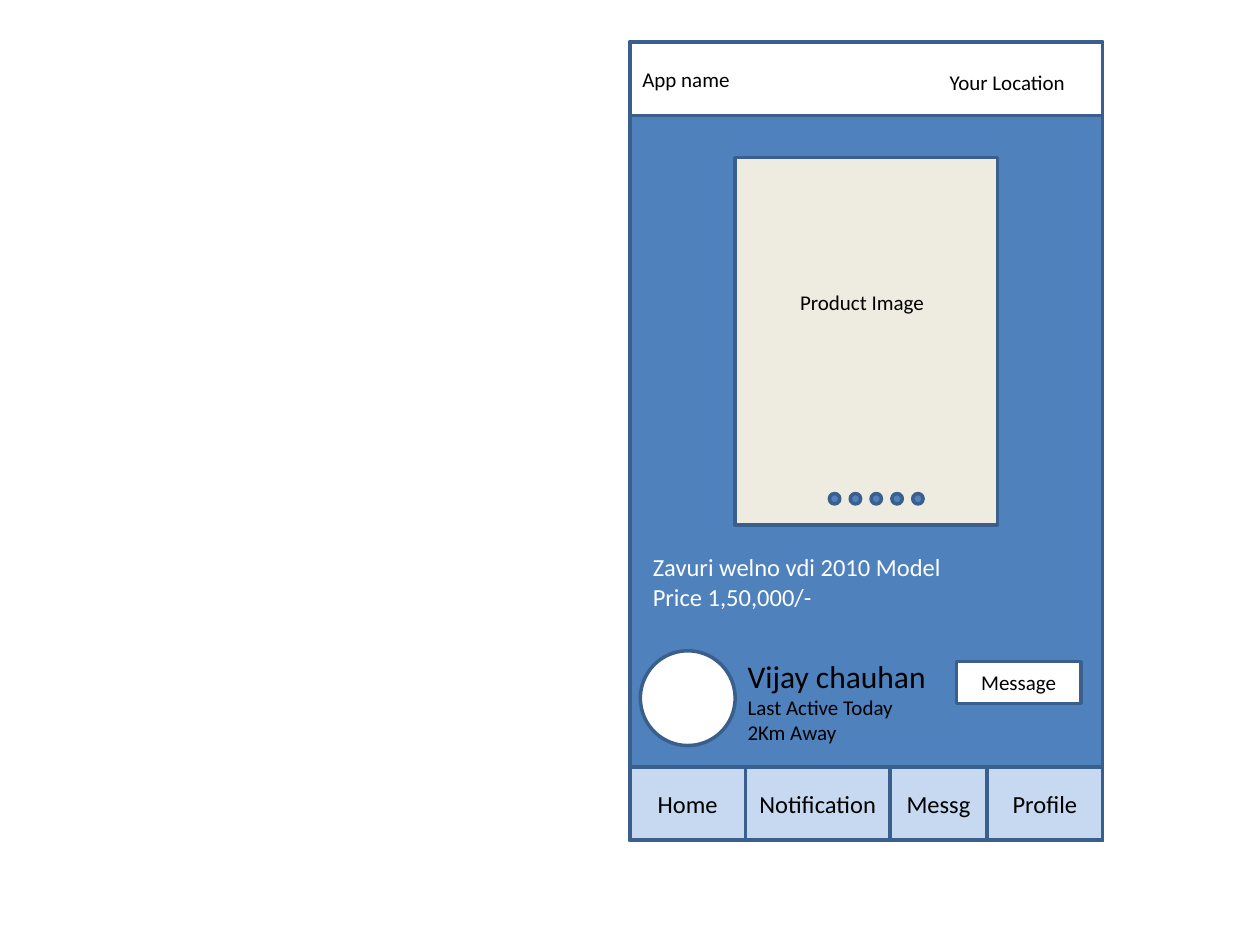
from pptx import Presentation
from pptx.dml.color import RGBColor
from pptx.enum import shapes, text
from pptx.util import Cm, Pt

COLORS = {
    "body": "4F81BD", "outline": "3A5F8C", "white": "FFFFFF",
    "tab": "C6D9F1", "image": "EEECE1", "black": "000000",
}
RECT = shapes.MSO_SHAPE.RECTANGLE
OVAL = shapes.MSO_SHAPE.OVAL
LEFT, CENTER, RIGHT = text.PP_ALIGN.LEFT, text.PP_ALIGN.CENTER, text.PP_ALIGN.RIGHT

prs = Presentation()
prs.slide_width, prs.slide_height = Cm(25.4), Cm(19.05)
s = prs.slides.add_slide(prs.slide_layouts[6])


def write(sp, lines, sizes, color="black", align=LEFT):
    """Fill a shape with one paragraph per line, each in its own size."""
    tf = sp.text_frame
    tf.word_wrap = True
    tf.text = "\n".join(lines)
    for p, size in zip(tf.paragraphs, sizes):
        p.alignment = align
        font = p.runs[0].font
        font.name, font.size = "Calibri", Pt(size)
        font.color.rgb = RGBColor.from_string(COLORS[color])


def add_box(kind, left, top, width, height, fill):
    """Add an outlined shape; lengths are in centimetres."""
    sp = s.shapes.add_shape(kind, Cm(left), Cm(top), Cm(width), Cm(height))
    sp.shadow.inherit = False
    sp.fill.solid()
    sp.fill.fore_color.rgb = RGBColor.from_string(COLORS[fill])
    sp.line.color.rgb = RGBColor.from_string(COLORS["outline"])
    sp.line.width = Pt(2)
    sp.text_frame.vertical_anchor = text.MSO_ANCHOR.MIDDLE
    return sp


# Phone frame with its top and bottom bars
x, y, w, h = 12.7, 0.85, 9.53, 16.09
bar_h = 1.48
tab_y = y + h - bar_h
add_box(RECT, x, y, w, h, "body")
add_box(RECT, x, tab_y, w, bar_h, "white")
header = add_box(RECT, x, y, w, bar_h, "white")
write(header, ["App name"], [12])

# Navigation tabs, side by side
tab_x = x
for label, tab_w in [("Home", 2.33), ("Notification", 2.91), ("Messg", 1.96), ("Profile", 2.33)]:
    tab = add_box(RECT, tab_x, tab_y, tab_w, bar_h, "tab")
    write(tab, [label], [14], align=CENTER)
    tab_x += tab_w

# Product image, seller's avatar and message button
add_box(RECT, 14.82, 3.18, 5.29, 7.41, "image")
button = add_box(RECT, 19.28, 13.34, 2.51, 0.84, "white")
write(button, ["Message"], [12], align=CENTER)
add_box(OVAL, 12.91, 13.12, 1.91, 1.91, "white")

# Free-standing labels
labels = [
    (18.42, 1.27, 3.39, 0.77, ["Your Location "], [12], "black", RIGHT),
    (15.88, 5.72, 3.5, 0.77, ["Product Image"], [12], "black", LEFT),
    (14.82, 13.12, 5.03, 2.05, ["Vijay chauhan", "Last Active Today", "2Km Away"],
     [18, 12, 12], "black", LEFT),
    (12.91, 11.01, 8.15, 1.45, ["Zavuri welno vdi 2010 Model", "Price 1,50,000/-"],
     [14, 14], "white", LEFT),
]
for left, top, width, height, lines, sizes, color, align in labels:
    label = s.shapes.add_textbox(Cm(left), Cm(top), Cm(width), Cm(height))
    write(label, lines, sizes, color, align)
    label.text_frame.auto_size = text.MSO_AUTO_SIZE.SHAPE_TO_FIT_TEXT

# Image pager dots
for i in range(5):
    add_box(OVAL, 16.72 + 0.42 * i, 9.95, 0.21, 0.21, "body")

prs.save("out.pptx")
